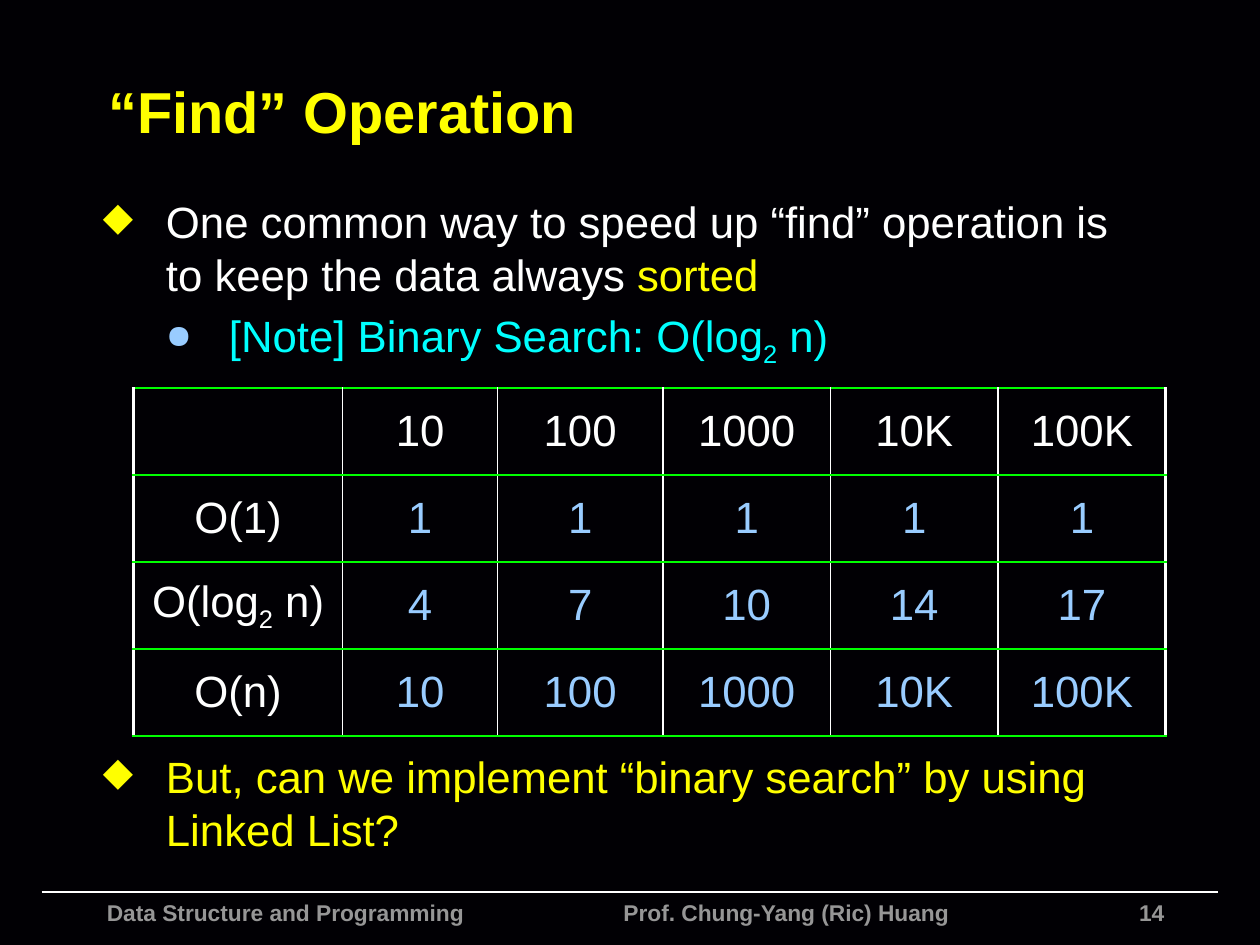
from dataclasses import dataclass

from lxml import etree
from pptx import Presentation
from pptx.dml.color import RGBColor
from pptx.enum import shapes, text
from pptx.oxml.ns import qn
from pptx.util import Pt


@dataclass(frozen=True)
class Theme:
    font: str = "Arial"
    background: str = "010004"
    white: str = "FFFFFF"
    yellow: str = "FFFF00"
    cyan: str = "00FFFF"
    blue: str = "99CCFF"
    green: str = "00FF00"
    gray: str = "969696"
    title: int = 33
    body: int = 25
    footer: int = 13


T = Theme()
LOG_N = [("O(log", 0), ("2", -25000), (" n)", 0)]
COLUMNS = [119.5, 88.5, 94.5, 95.8, 95.8, 95.8]
ROW_HEIGHT = 49.7
GROWTH = [
    ["", "10", "100", "1000", "10K", "100K"],
    ["O(1)", "1", "1", "1", "1", "1"],
    [LOG_N, "4", "7", "10", "14", "17"],
    ["O(n)", "10", "100", "1000", "10K", "100K"],
]


def rgb(value):
    return RGBColor.from_string(value)


def add_run(p, words, size, color, bold=False, baseline=0):
    r = p.add_run()
    r.text = words
    r.font.name, r.font.size, r.font.bold = T.font, Pt(size), bold
    r.font.color.rgb = rgb(color)
    if baseline:
        r.font._element.set("baseline", str(baseline))


def add_log_n(p, color):
    for words, baseline in LOG_N:
        add_run(p, words, T.body, color, baseline=baseline)


def add_box(slide, left, top, width, height):
    sp = slide.shapes.add_textbox(Pt(left), Pt(top), Pt(width), Pt(height))
    sp.text_frame.word_wrap = True
    return sp.text_frame


def add_title(slide, words):
    sp = slide.shapes.title
    sp.left, sp.top, sp.width, sp.height = Pt(54.7), Pt(26.6), Pt(636.5), Pt(72.7)
    tf = sp.text_frame
    tf.vertical_anchor = text.MSO_ANCHOR.MIDDLE
    p = tf.paragraphs[0]
    p.alignment = text.PP_ALIGN.LEFT
    add_run(p, words, T.title, T.yellow, bold=True)


def set_bullet(p, char, color, percent, indent, level=0):
    p.level = level
    pPr = p._p.get_or_add_pPr()
    pPr.set("marL", str(Pt(indent)))
    pPr.set("indent", str(Pt(-36)))
    buClr = etree.SubElement(pPr, qn("a:buClr"))
    etree.SubElement(buClr, qn("a:srgbClr"), val=color)
    etree.SubElement(pPr, qn("a:buSzPct"), val=str(percent * 1000))
    etree.SubElement(pPr, qn("a:buChar"), char=char)


def add_body(slide):
    tf = add_box(slide, 51.8, 108, 612, 391.7)
    claim, note, question = tf.paragraphs[0], tf.add_paragraph(), tf.add_paragraph()
    claim.space_before = note.space_before = Pt(5)
    question.space_before = Pt(218)
    for p in (claim, question):
        set_bullet(p, "◆", T.yellow, 90, 36)
    set_bullet(note, "●", T.blue, 75, 72, level=1)

    add_run(claim, "One common way to speed up “find” operation is to keep the data always ", T.body, T.white)
    add_run(claim, "sorted", T.body, T.yellow)
    add_run(note, "[Note] Binary Search: ", T.body, T.cyan)
    add_log_n(note, T.cyan)
    add_run(question, "But, can we implement “binary search” by using Linked List?", T.body, T.yellow)


def set_border(cell, side, color, width):
    tcPr = cell._tc.get_or_add_tcPr()
    ln = etree.SubElement(tcPr, qn(f"a:{side}"), w=str(Pt(width)))
    fill = etree.SubElement(ln, qn("a:solidFill"))
    etree.SubElement(fill, qn("a:srgbClr"), val=color)


def format_cell(cell, value, color, first, last):
    cell.margin_left = cell.margin_right = Pt(3.6)
    cell.margin_top = cell.margin_bottom = Pt(3.6)
    cell.vertical_anchor = text.MSO_ANCHOR.MIDDLE
    set_border(cell, "lnL", T.white, 2.25 if first else 1)
    set_border(cell, "lnR", T.white, 2.25 if last else 1)
    set_border(cell, "lnT", T.green, 1)
    set_border(cell, "lnB", T.green, 1)
    cell.fill.background()
    p = cell.text_frame.paragraphs[0]
    p.alignment = text.PP_ALIGN.CENTER
    p.space_before = Pt(5)
    if value is LOG_N:
        add_log_n(p, color)
    elif value:
        add_run(p, value, T.body, color)


def add_growth_table(slide):
    rows, cols = len(GROWTH), len(COLUMNS)
    frame = slide.shapes.add_table(
        rows, cols, Pt(76.3), Pt(221.8), Pt(sum(COLUMNS)), Pt(ROW_HEIGHT * rows))
    table = frame.table
    table.first_row = table.horz_banding = False
    for column, width in zip(table.columns, COLUMNS):
        column.width = Pt(width)
    for i, values in enumerate(GROWTH):
        table.rows[i].height = Pt(ROW_HEIGHT)
        for j, value in enumerate(values):
            color = T.blue if i and j else T.white
            format_cell(table.cell(i, j), value, color, j == 0, j == cols - 1)


def add_footer(slide):
    line = slide.shapes.add_connector(
        shapes.MSO_CONNECTOR.STRAIGHT, Pt(23.8), Pt(509.8), Pt(696.2), Pt(509.8))
    line.line.color.rgb = rgb(T.white)
    line.line.width = Pt(1)
    etree.SubElement(line._element.spPr, qn("a:effectLst"))

    number = add_box(slide, 444.2, 509.8, 228.2, 13).paragraphs[0]
    number.alignment = text.PP_ALIGN.RIGHT
    add_run(number, "14", T.footer, T.gray, bold=True)

    credit = add_box(slide, 54, 509.8, 521.3, 30.2).paragraphs[0]
    tabs = etree.SubElement(credit._p.get_or_add_pPr(), qn("a:tabLst"))
    etree.SubElement(tabs, qn("a:tab"), pos=str(Pt(295.2)), algn="l")
    add_run(credit, "Data Structure and Programming\tProf. Chung-Yang (Ric) Huang",
            T.footer, T.gray, bold=True)


def main():
    prs = Presentation()
    prs.slide_width, prs.slide_height = Pt(720), Pt(540)
    slide = prs.slides.add_slide(prs.slide_layouts[5])
    slide.background.fill.solid()
    slide.background.fill.fore_color.rgb = rgb(T.background)
    add_footer(slide)
    add_title(slide, "“Find” Operation")
    add_body(slide)
    add_growth_table(slide)
    prs.save("out.pptx")


if __name__ == "__main__":
    main()
